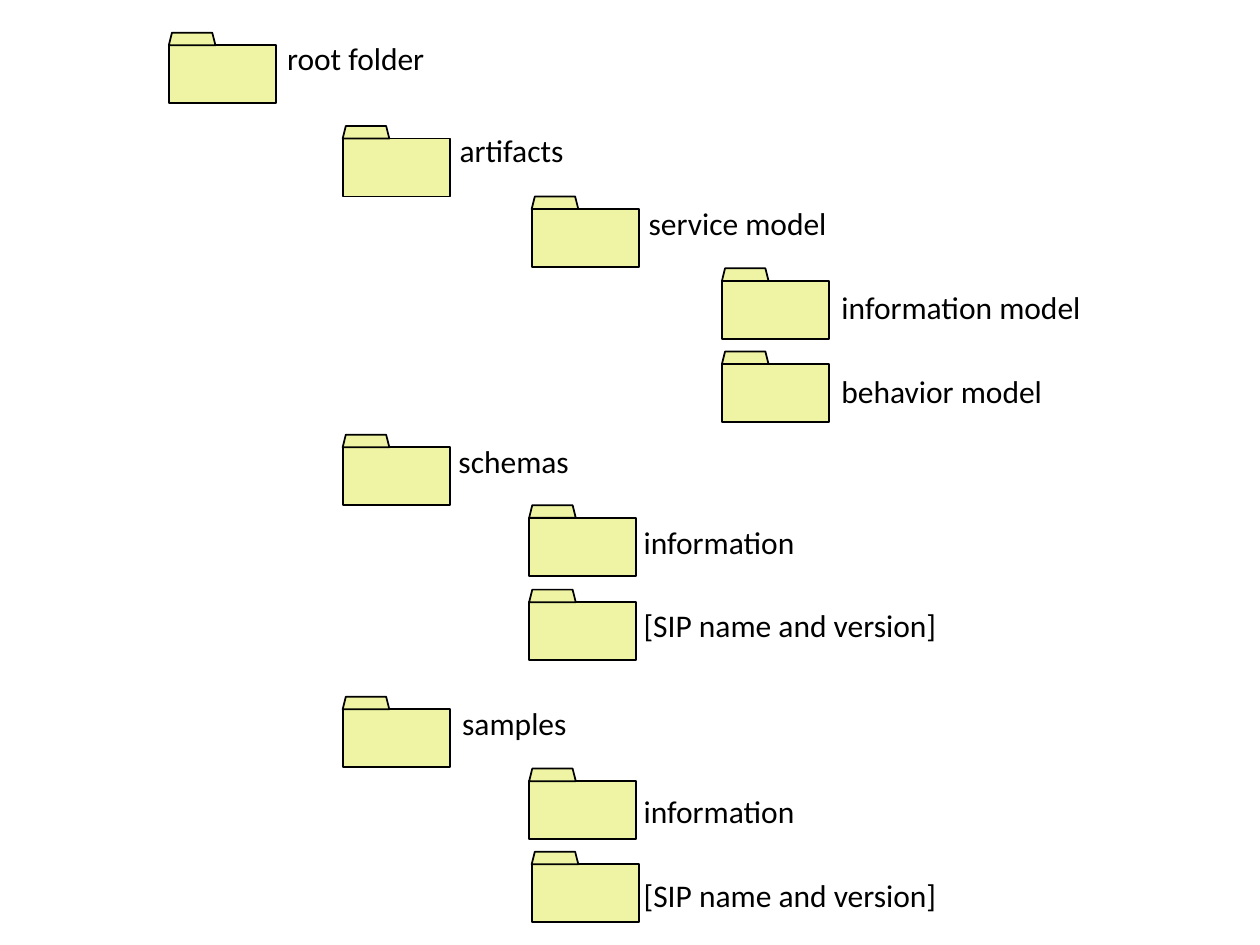
"""Build a slide showing the folder tree of a package."""
from pptx import Presentation
from pptx.dml.color import RGBColor
from pptx.enum.shapes import MSO_SHAPE
from pptx.enum.text import MSO_AUTO_SIZE
from pptx.util import Inches, Pt

RECTANGLE, TRAPEZOID = MSO_SHAPE.RECTANGLE, MSO_SHAPE.TRAPEZOID
FIT_SHAPE = MSO_AUTO_SIZE.SHAPE_TO_FIT_TEXT
YELLOW = RGBColor(0xEE, 0xF4, 0xA4)
BLACK = RGBColor(0, 0, 0)

BODY_WIDTH, BODY_HEIGHT = 0.85, 0.46
TAB_WIDTH, TAB_HEIGHT = 0.37, 0.1
LABEL_HEIGHT = 0.4

# name, folder left, folder top, label left, label top, label width
FOLDERS = [
    ("root folder", 1.34, 0.26, 2.18, 0.26, 1.35),
    ("artifacts", 2.72, 1.0, 3.55, 0.99, 1.04),
    ("service model", 4.22, 1.56, 5.05, 1.57, 1.63),
    ("information model", 5.73, 2.13, 6.58, 2.24, 2.12),
    ("behavior model", 5.73, 2.79, 6.58, 2.9, 1.81),
    ("schemas", 2.72, 3.45, 3.54, 3.46, 1.09),
    ("information", 4.2, 4.01, 5.01, 4.1, 1.41),
    ("[SIP name and version]", 4.2, 4.68, 5.01, 4.76, 2.6),
    ("samples", 2.72, 5.53, 3.57, 5.54, 1.04),
    ("information", 4.2, 6.1, 5.01, 6.24, 1.41),
    ("[SIP name and version]", 4.22, 6.76, 5.01, 6.9, 2.55),
]


def add_part(group, kind, left, top, width, height):
    part = group.shapes.add_shape(
        kind, Inches(left), Inches(top), Inches(width), Inches(height))
    part.shadow.inherit = False
    part.fill.solid()
    part.fill.fore_color.rgb = YELLOW
    part.line.color.rgb = BLACK
    part.line.width = Pt(1)


def add_folder(page, left, top):
    group = page.shapes.add_group_shape()
    add_part(group, RECTANGLE, left, top + TAB_HEIGHT, BODY_WIDTH, BODY_HEIGHT)
    add_part(group, TRAPEZOID, left, top, TAB_WIDTH, TAB_HEIGHT)


def add_label(page, name, left, top, width):
    box = page.shapes.add_textbox(
        Inches(left), Inches(top), Inches(width), Inches(LABEL_HEIGHT))
    box.text_frame.word_wrap = False
    box.text_frame.auto_size = FIT_SHAPE
    span = box.text_frame.paragraphs[0].add_run()
    span.text = name
    span.font.name = "Calibri"
    span.font.size = Pt(18)
    span.font.color.rgb = BLACK


deck = Presentation()
deck.slide_width, deck.slide_height = Inches(10), Inches(7.5)
page = deck.slides.add_slide(deck.slide_layouts[6])
for name, left, top, label_left, label_top, label_width in FOLDERS:
    add_folder(page, left, top)
    add_label(page, name, label_left, label_top, label_width)
deck.save("out.pptx")
